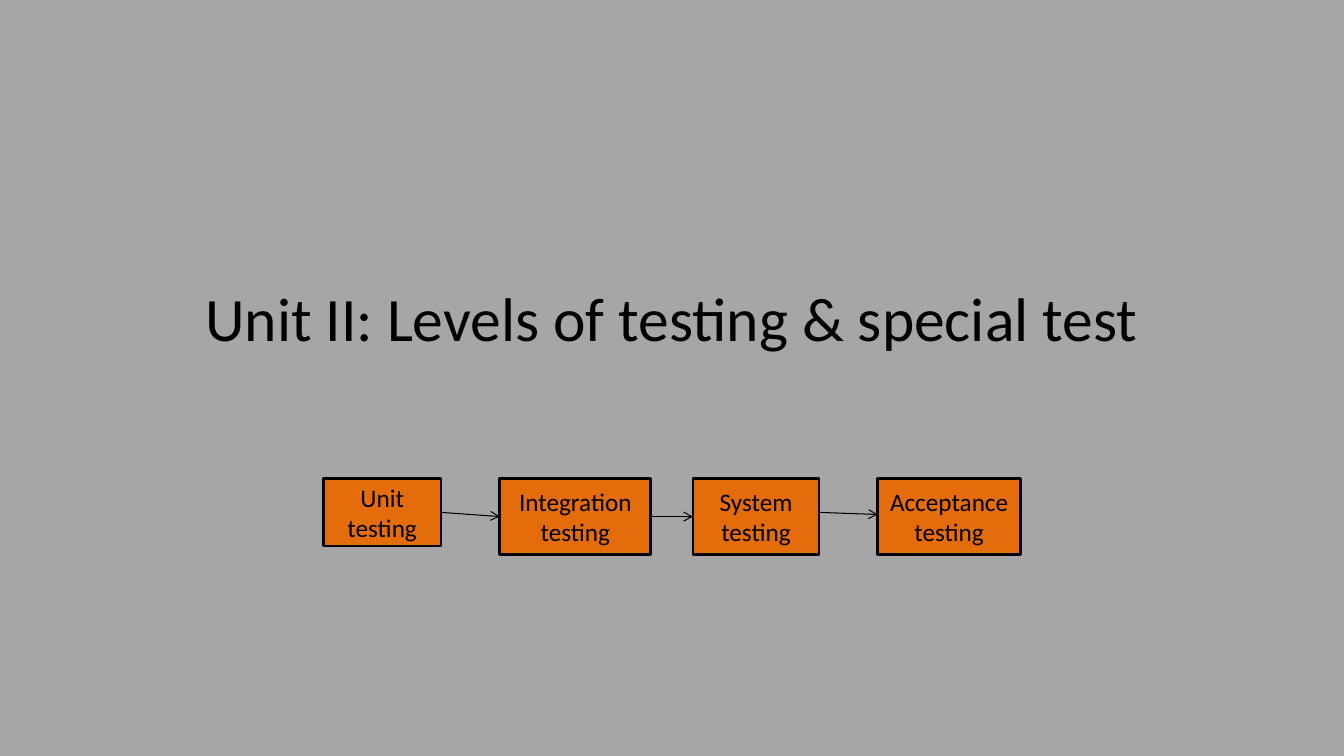
from pptx import Presentation
from pptx.dml.color import RGBColor
from pptx.enum.shapes import MSO_CONNECTOR, MSO_SHAPE
from pptx.enum.text import MSO_ANCHOR, PP_ALIGN
from pptx.oxml.ns import qn
from pptx.util import Pt
from lxml.etree import SubElement

COLORS = {"background": "A6A6A6", "level": "E46C0A", "ink": "000000"}
LEVEL_TOP = 342
LEVELS = [
    ("Unit testing", 231, 84, 48),
    ("Integration testing", 357, 108, 54),
    ("System testing", 495, 90, 54),
    ("Acceptance testing", 627, 102, 54),
]
ARROW_HEIGHTS = [(366, 369), (369, 369), (366, 367.5)]


def color(name):
    return RGBColor.from_string(COLORS[name])


def write(shape, text, size, font="Calibri", ink="ink", align=PP_ALIGN.CENTER):
    frame = shape.text_frame
    frame.word_wrap = True
    frame.vertical_anchor = MSO_ANCHOR.MIDDLE
    paragraph = frame.paragraphs[0]
    paragraph.alignment = align
    run = paragraph.add_run()
    run.text = text
    run.font.name = font
    run.font.size = Pt(size)
    run.font.color.rgb = color(ink)


def set_title(slide, text):
    title = slide.shapes.title
    title.left, title.top = Pt(72), Pt(168)
    title.width, title.height = Pt(816), Pt(116)
    write(title, text, size=44)
    subtitle = slide.placeholders[1].element
    subtitle.getparent().remove(subtitle)


def add_level(slide, text, left, width, height):
    level = slide.shapes.add_shape(
        MSO_SHAPE.RECTANGLE, Pt(left), Pt(LEVEL_TOP), Pt(width), Pt(height)
    )
    level.shadow.inherit = False
    level.fill.solid()
    level.fill.fore_color.rgb = color("level")
    level.line.color.rgb = color("ink")
    level.line.width = Pt(2)
    write(level, text, size=18)


def add_arrow(slide, start_x, start_y, end_x, end_y):
    arrow = slide.shapes.add_connector(
        MSO_CONNECTOR.STRAIGHT, Pt(start_x), Pt(start_y), Pt(end_x), Pt(end_y)
    )
    arrow.line.color.rgb = color("ink")
    arrow.line.width = Pt(0.75)
    SubElement(arrow.line._get_or_add_ln(), qn("a:tailEnd"), type="arrow")
    SubElement(arrow.element.spPr, qn("a:effectLst"))


def main():
    deck = Presentation()
    deck.slide_width, deck.slide_height = Pt(960), Pt(540)
    slide = deck.slides.add_slide(deck.slide_layouts[0])
    slide.background.fill.solid()
    slide.background.fill.fore_color.rgb = color("background")
    set_title(slide, "Unit II: Levels of testing & special test")
    for level in LEVELS:
        add_level(slide, *level)
    for source, target, (start_y, end_y) in zip(LEVELS, LEVELS[1:], ARROW_HEIGHTS):
        _, left, width, _ = source
        add_arrow(slide, left + width, start_y, target[1], end_y)
    deck.save("out.pptx")


if __name__ == "__main__":
    main()
